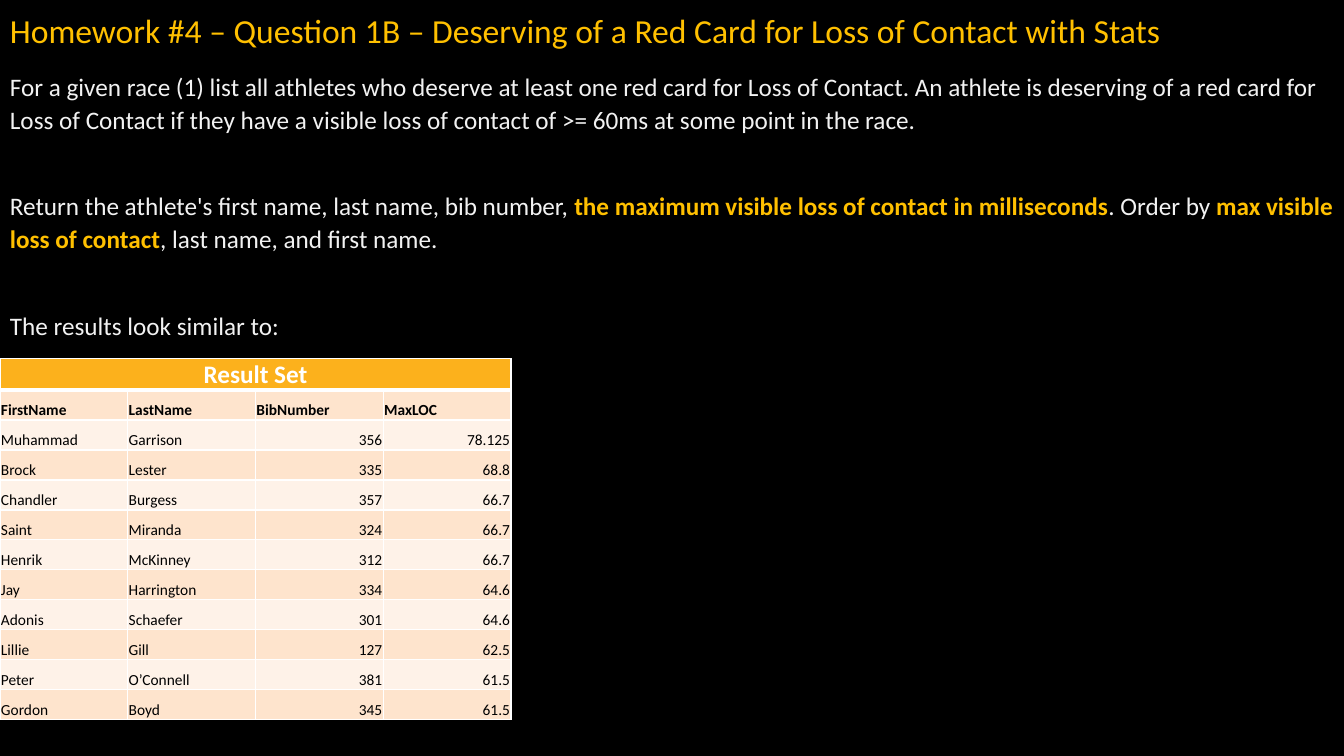
from pptx import Presentation
from pptx.dml.color import RGBColor
from pptx.enum.text import MSO_ANCHOR, PP_ALIGN
from pptx.oxml import parse_xml
from pptx.oxml.ns import nsdecls
from pptx.util import Pt

BLACK = RGBColor(0x00, 0x00, 0x00)
WHITE = RGBColor(0xFF, 0xFF, 0xFF)
GOLD = RGBColor(0xFF, 0xC0, 0x00)
SOFT_WHITE = RGBColor(0xF2, 0xF2, 0xF2)
HEADER_ORANGE = RGBColor(0xFC, 0xB1, 0x1C)
PEACH = RGBColor(0xFE, 0xE4, 0xCD)
PALE_PEACH = RGBColor(0xFE, 0xF2, 0xE8)

FONT = "Calibri"
SLIDE_WIDTH, SLIDE_HEIGHT = 960, 540
TITLE_HEIGHT = 46
COLUMN_WIDTH, ROW_HEIGHT = 91.25, 21.42


def style_font(font, size, color, bold=False):
    font.name = FONT
    font.size = Pt(size)
    font.color.rgb = color
    font.bold = bold


def add_border(cell, side, width):
    cell._tc.get_or_add_tcPr().append(parse_xml(
        f'<a:ln{side} {nsdecls("a")} w="{Pt(width)}"><a:solidFill>'
        f'<a:srgbClr val="{WHITE}"/></a:solidFill></a:ln{side}>'))


presentation = Presentation()
presentation.slide_width = Pt(SLIDE_WIDTH)
presentation.slide_height = Pt(SLIDE_HEIGHT)
slide = presentation.slides.add_slide(presentation.slide_layouts[6])
slide.background.fill.solid()
slide.background.fill.fore_color.rgb = BLACK

# Title
title = slide.shapes.add_textbox(0, 0, Pt(SLIDE_WIDTH), Pt(TITLE_HEIGHT)).text_frame
title.word_wrap = True
title.vertical_anchor = MSO_ANCHOR.MIDDLE
heading = title.paragraphs[0]
heading.text = "Homework #4 – Question 1B – Deserving of a Red Card for Loss of Contact with Stats"
heading.line_spacing = 0.9
style_font(heading.font, 24, GOLD)

# Question text: each paragraph is a list of (text, highlighted) parts
question = [
    [("For a given race (1) list all athletes who deserve at least one red card for "
      "Loss of Contact. An athlete is deserving of a red card for Loss of Contact if "
      "they have a visible loss of contact of >= 60ms at some point in the race.", False)],
    [("Return the athlete's first name, last name, bib number, ", False),
     ("the maximum visible loss of contact in milliseconds", True),
     (". Order by ", False),
     ("max visible loss of contact", True),
     (", last name, and first name.", False)],
    [("The results look similar to:", False)],
]
body = slide.shapes.add_textbox(
    0, Pt(TITLE_HEIGHT), Pt(SLIDE_WIDTH), Pt(SLIDE_HEIGHT - TITLE_HEIGHT)).text_frame
body.word_wrap = True
for index, parts in enumerate(question):
    paragraph = body.add_paragraph() if index else body.paragraphs[0]
    paragraph.line_spacing = 1.07
    paragraph.space_after = Pt(39)
    style_font(paragraph.font, 18, SOFT_WHITE)
    for text, highlighted in parts:
        run = paragraph.add_run()
        run.text = text
        if highlighted:
            run.font.bold = True
            run.font.color.rgb = GOLD

# Result set table
results = [
    ("Result Set", "", "", ""),
    ("FirstName", "LastName", "BibNumber", "MaxLOC"),
    ("Muhammad", "Garrison", "356", "78.125"),
    ("Brock", "Lester", "335", "68.8"),
    ("Chandler", "Burgess", "357", "66.7"),
    ("Saint", "Miranda", "324", "66.7"),
    ("Henrik", "McKinney", "312", "66.7"),
    ("Jay", "Harrington", "334", "64.6"),
    ("Adonis", "Schaefer", "301", "64.6"),
    ("Lillie", "Gill", "127", "62.5"),
    ("Peter", "O’Connell", "381", "61.5"),
    ("Gordon", "Boyd", "345", "61.5"),
]
row_count, column_count = len(results), len(results[0])
result_set = slide.shapes.add_table(
    row_count, column_count, 0, Pt(256.3),
    Pt(COLUMN_WIDTH * column_count), Pt(ROW_HEIGHT * row_count)).table
for column in result_set.columns:
    column.width = Pt(COLUMN_WIDTH)
for row in result_set.rows:
    row.height = Pt(ROW_HEIGHT)
result_set.cell(0, 0).merge(result_set.cell(0, column_count - 1))

for r, values in enumerate(results):
    for c, value in enumerate(values):
        cell = result_set.cell(r, c)
        cell.margin_left = cell.margin_right = cell.margin_top = Pt(0.7)
        cell.margin_bottom = 0
        cell.vertical_anchor = MSO_ANCHOR.BOTTOM
        add_border(cell, "L", 1)
        add_border(cell, "R", 1)
        add_border(cell, "T", 3 if r == 1 else 1)
        add_border(cell, "B", 3 if r == 0 else 1)
        cell.fill.solid()
        entry = cell.text_frame.paragraphs[0]
        entry.text = value
        if r == 0:
            cell.fill.fore_color.rgb = HEADER_ORANGE
            entry.alignment = PP_ALIGN.CENTER
            style_font(entry.font, 18, WHITE, bold=True)
        else:
            cell.fill.fore_color.rgb = PEACH if r % 2 else PALE_PEACH
            entry.alignment = PP_ALIGN.RIGHT if r > 1 and c > 1 else PP_ALIGN.LEFT
            style_font(entry.font, 11, BLACK, bold=r == 1)

presentation.save("out.pptx")
